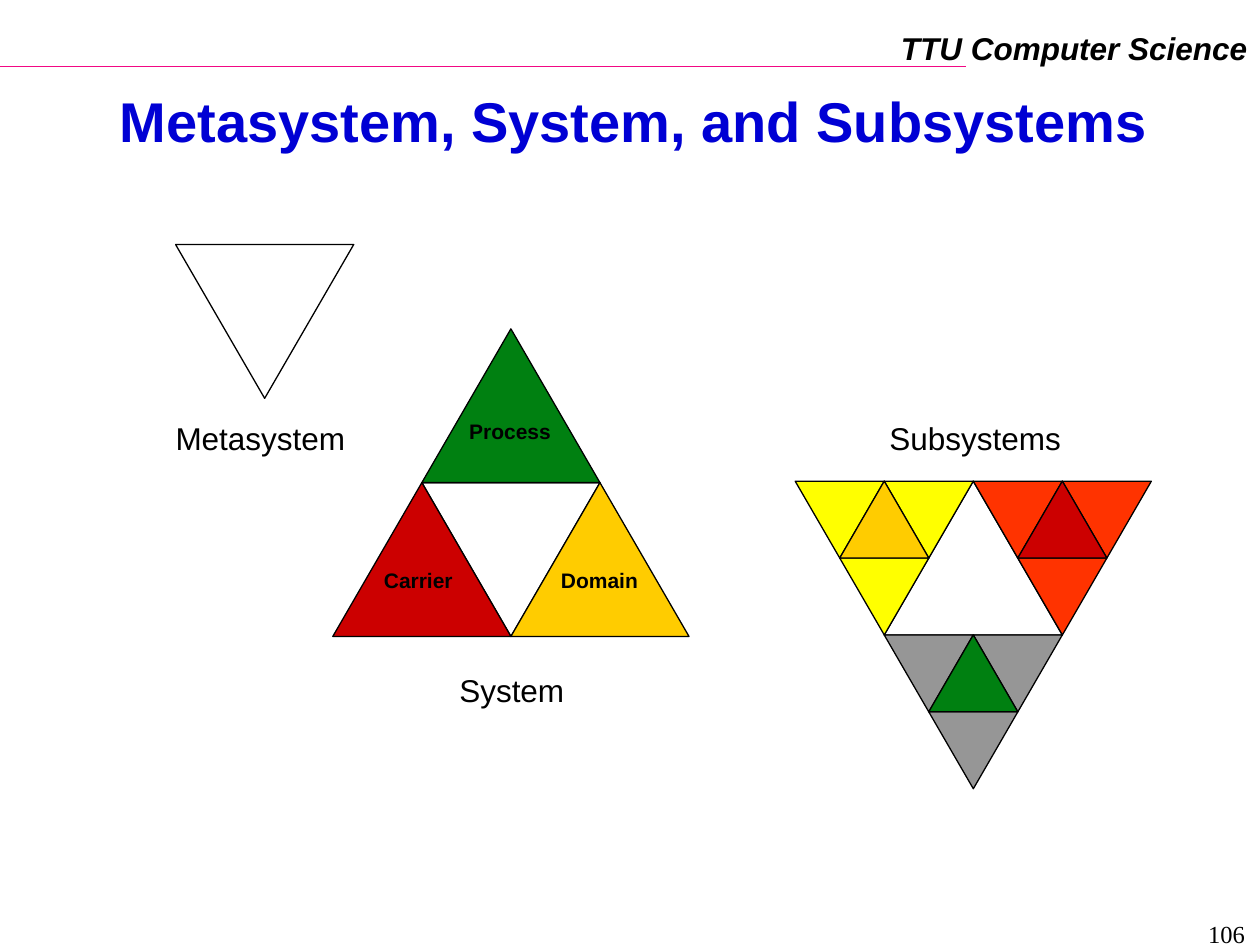
from lxml import etree
from pptx import Presentation
from pptx.dml.color import RGBColor
from pptx.enum.shapes import MSO_CONNECTOR, MSO_SHAPE
from pptx.enum.text import MSO_ANCHOR, MSO_AUTO_SIZE, PP_ALIGN
from pptx.oxml.ns import qn
from pptx.util import Cm, Pt

LEFT, CENTER, RIGHT = PP_ALIGN.LEFT, PP_ALIGN.CENTER, PP_ALIGN.RIGHT
MIDDLE = MSO_ANCHOR.MIDDLE
GROW, FIXED = MSO_AUTO_SIZE.SHAPE_TO_FIT_TEXT, MSO_AUTO_SIZE.NONE
TRIANGLE = MSO_SHAPE.ISOSCELES_TRIANGLE
STRAIGHT = MSO_CONNECTOR.STRAIGHT

COLORS = {
    "black": "000000", "title": "0000D4", "rule": "F20884",
    "green": "008011", "red": "CC0000", "gold": "FFCC00",
    "gray": "969696", "yellow": "FFFF00", "orange": "FF3300",
}

HEADER = ("TTU Computer Science", 17.91, 0.46, 7.49, 1.02)
TITLE = ("Metasystem, System, and Subsystems", 1.35, 1.82, 22.86, 1.4)
PAGE = ("106", 19.43, 18.4, 5.92, 0.56)
CAPTIONS = [
    ("System", 9.01, 13.4, 2.64, 1.02),
    ("Metasystem", 3.29, 8.32, 3.96, 1.02),
    ("Subsystems", 17.68, 8.32, 3.98, 1.02),
]
PART_LABELS = [
    ("Domain", 11.06, 11.31, 2.1, 0.76),
    ("Process", 9.21, 8.31, 2.2, 0.76),
    ("Carrier", 7.49, 11.31, 1.96, 0.76),
]

SIDE, HEIGHT = 3.59, 3.1
META = (3.54, 4.93)
SYSTEM = (6.71, 6.63)
SUBSYSTEMS = (16.03, 9.7)
CLUSTERS = [
    (0.5, 1, "gray", "green"),
    (0, 0, "yellow", "gold"),
    (1, 0, "orange", "red"),
]

prs = Presentation()
prs.slide_width, prs.slide_height = Cm(25.4), Cm(19.05)
s = prs.slides.add_slide(prs.slide_layouts[6])


def rgb(name):
    return RGBColor.from_string(COLORS[name])


def add_text(item, size, color="black", align=LEFT, font="Arial",
             bold=False, italic=False, wrap=False):
    text, *box = item
    tf = s.shapes.add_textbox(*map(Cm, box)).text_frame
    tf.word_wrap = wrap
    tf.auto_size = FIXED if wrap else GROW
    p = tf.paragraphs[0]
    p.text, p.alignment = text, align
    p.font.name, p.font.size = font, Pt(size)
    p.font.bold, p.font.italic = bold, italic
    p.font.color.rgb = rgb(color)
    return tf


def add_triangle(x, y, fill=None, down=False, scale=1):
    sp = s.shapes.add_shape(TRIANGLE, Cm(x), Cm(y),
                            Cm(SIDE * scale), Cm(HEIGHT * scale))
    sp.shadow.inherit = False
    sp.rotation = 180 if down else 0
    if fill:
        sp.fill.solid()
        sp.fill.fore_color.rgb = rgb(fill)
    else:
        sp.fill.background()
    sp.line.color.rgb = rgb("black")
    sp.line.width = Pt(0.75)


def add_cluster(x, y, outer, inner):
    w, h = SIDE / 2, HEIGHT / 2
    for dx, dy in [(w, 0), (w / 2, h), (0, 0)]:
        add_triangle(x + dx, y + dy, outer, down=True, scale=0.5)
    add_triangle(x + w / 2, y, inner, scale=0.5)


rule = s.shapes.add_connector(STRAIGHT, 0, Cm(1.34), Cm(19.48), Cm(1.34))
rule.line.color.rgb = rgb("rule")
rule.line.width = Pt(1)
etree.SubElement(rule._element.spPr, qn("a:effectLst"))

add_text(HEADER, 18, align=RIGHT, bold=True, italic=True)
tf = add_text(TITLE, 32, "title", CENTER, bold=True, wrap=True)
tf.vertical_anchor = MIDDLE
tf.paragraphs[0].line_spacing = 0.87

x, y = SUBSYSTEMS
add_triangle(x + SIDE / 2, y)
for col, row, outer, inner in CLUSTERS:
    add_cluster(x + col * SIDE, y + row * HEIGHT, outer, inner)

x, y = SYSTEM
add_triangle(x + SIDE / 2, y, "green")
add_triangle(x + SIDE / 2, y + HEIGHT, down=True)
add_triangle(x, y + HEIGHT, "red")
add_triangle(x + SIDE, y + HEIGHT, "gold")
add_triangle(*META, down=True)

for item in CAPTIONS:
    add_text(item, 18)
for item in PART_LABELS:
    add_text(item, 12, bold=True)
add_text(PAGE, 14, align=RIGHT, font="Times New Roman", wrap=True)

prs.save("out.pptx")
